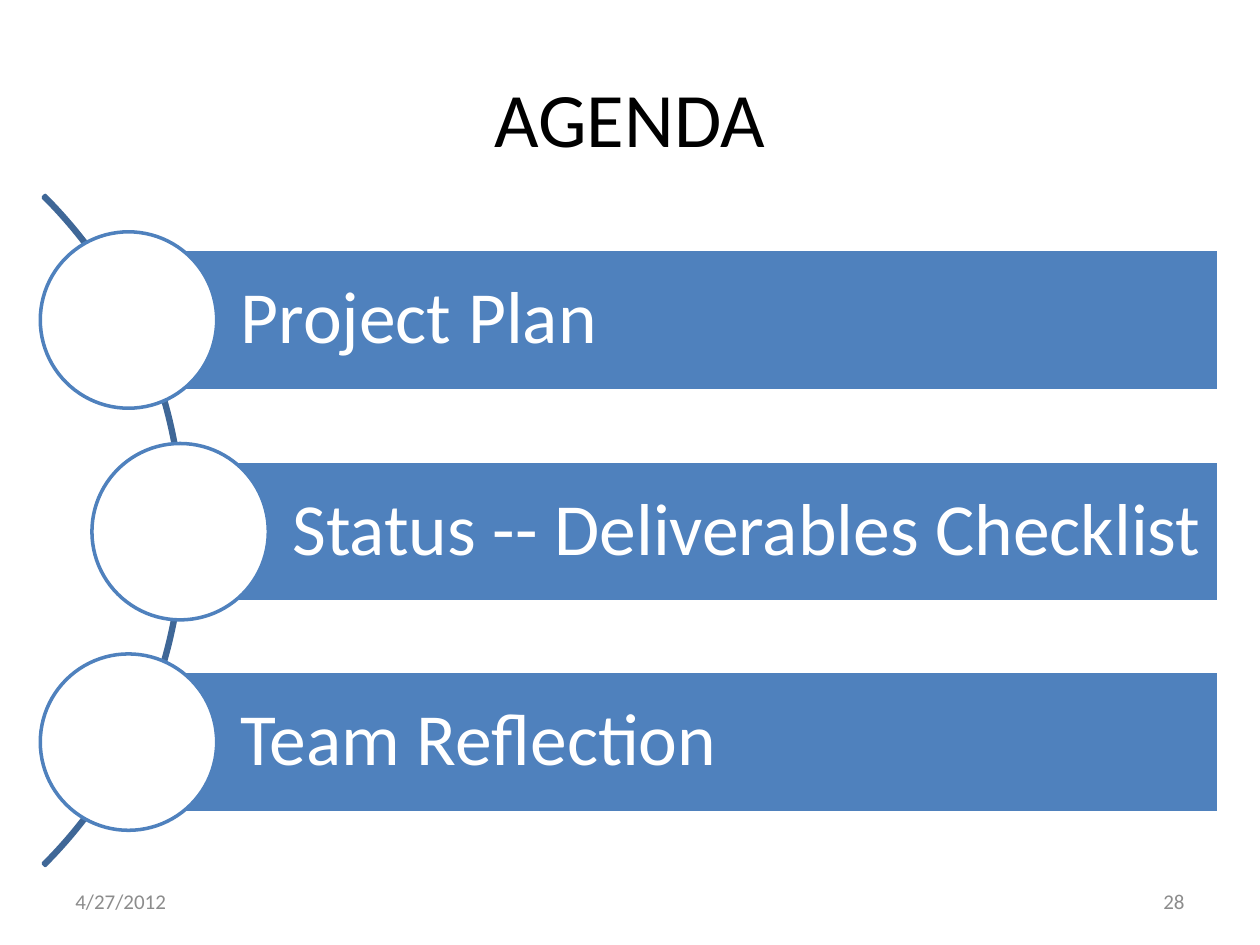
from pptx import Presentation
from pptx.dml.color import RGBColor
from pptx.enum.shapes import MSO_SHAPE
from pptx.enum.text import MSO_ANCHOR, PP_ALIGN
from pptx.util import Pt

PX = 9144
BLACK = RGBColor(0x00, 0x00, 0x00)
WHITE = RGBColor(0xFF, 0xFF, 0xFF)
GRAY = RGBColor(0x8C, 0x8C, 0x8C)
BLUE = RGBColor(0x4F, 0x81, 0xBD)
DARK_BLUE = RGBColor(0x3F, 0x67, 0x97)


def set_text(sp, text, size, color, align=PP_ALIGN.LEFT, insets=(10, 5, 10, 5), spacing=1.0):
    tf = sp.text_frame
    tf.word_wrap = True
    tf.vertical_anchor = MSO_ANCHOR.MIDDLE
    tf.margin_left, tf.margin_top, tf.margin_right, tf.margin_bottom = [i * PX for i in insets]
    p = tf.paragraphs[0]
    p.alignment = align
    p.line_spacing = spacing
    r = p.add_run()
    r.text = text
    r.font.name = "Calibri"
    r.font.size = Pt(size)
    r.font.color.rgb = color


def add_shape(kind, x, y, w, h, line, fill=None):
    sp = s.shapes.add_shape(kind, x * PX, y * PX, w * PX, h * PX)
    sp.shadow.inherit = False
    sp.line.color.rgb = line
    sp.line.width = Pt(2)
    if fill is None:
        sp.fill.background()
    else:
        sp.fill.solid()
        sp.fill.fore_color.rgb = fill
    return sp


prs = Presentation()
prs.slide_width = 1000 * PX
prs.slide_height = 750 * PX
s = prs.slides.add_slide(prs.slide_layouts[5])

title = s.shapes.title
title.left, title.top, title.width, title.height = [v * PX for v in (50, 30, 900, 125)]
set_text(title, "AGENDA", 44, BLACK, align=PP_ALIGN.CENTER)

for x, text, align in [(50, "4/27/2012", PP_ALIGN.LEFT), (717, "28", PP_ALIGN.RIGHT)]:
    tb = s.shapes.add_textbox(x * PX, 695 * PX, 233 * PX, 40 * PX)
    set_text(tb, text, 12, GRAY, align=align)

arc = add_shape(MSO_SHAPE.BLOCK_ARC, -606, 45, 752, 752, DARK_BLUE)
for i, value in enumerate((189, 27, 0.003)):
    arc.adjustments[i] = value

RIGHT, BAR_H, CIRCLE = 967, 112, 140
items = [(102, "Project Plan"), (143, "Status -- Deliverables Checklist"), (102, "Team Reflection")]
for i, (x, text) in enumerate(items):
    mid = 254 + round(i * 167.5)
    bar = add_shape(MSO_SHAPE.RECTANGLE, x, mid - BAR_H // 2, RIGHT - x, BAR_H, WHITE, fill=BLUE)
    set_text(bar, text, 42, WHITE, insets=(89, 12, 12, 12), spacing=0.9)
    add_shape(MSO_SHAPE.OVAL, x - CIRCLE // 2, mid - CIRCLE // 2, CIRCLE, CIRCLE, BLUE, fill=WHITE)

prs.save("out.pptx")
